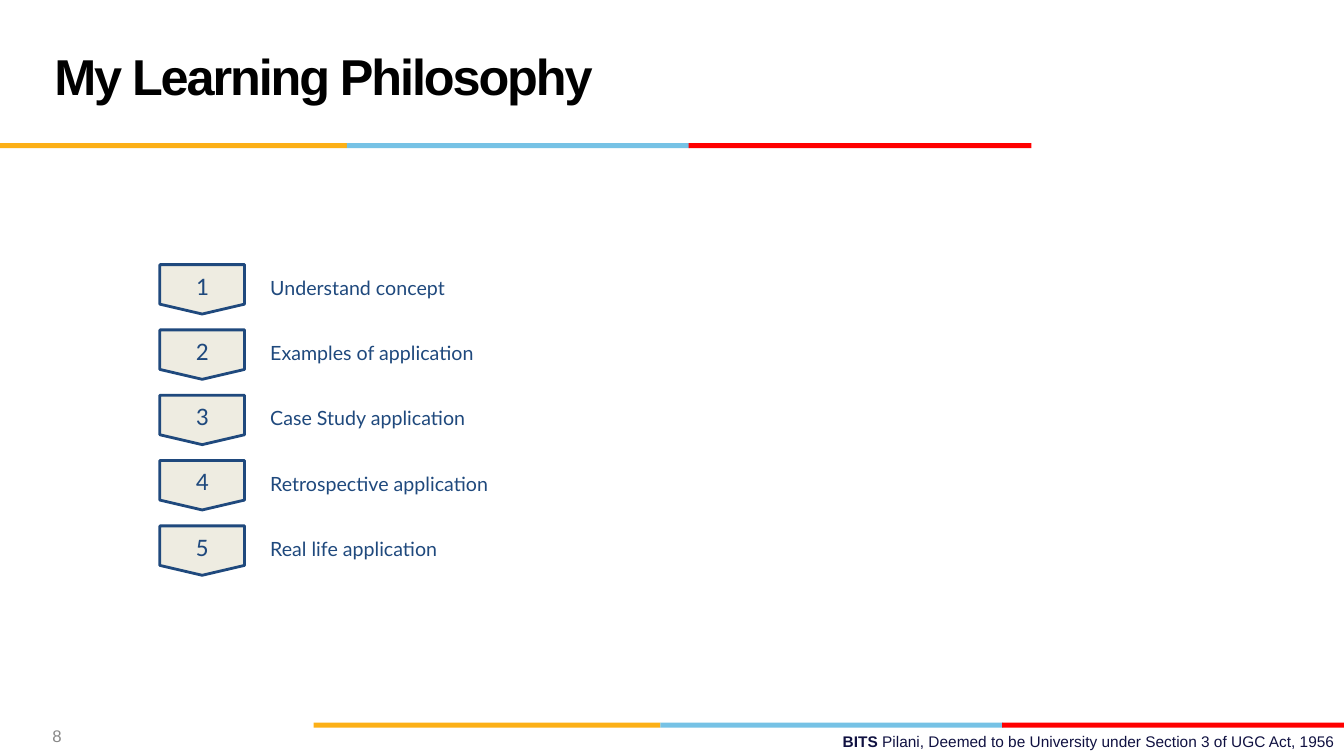
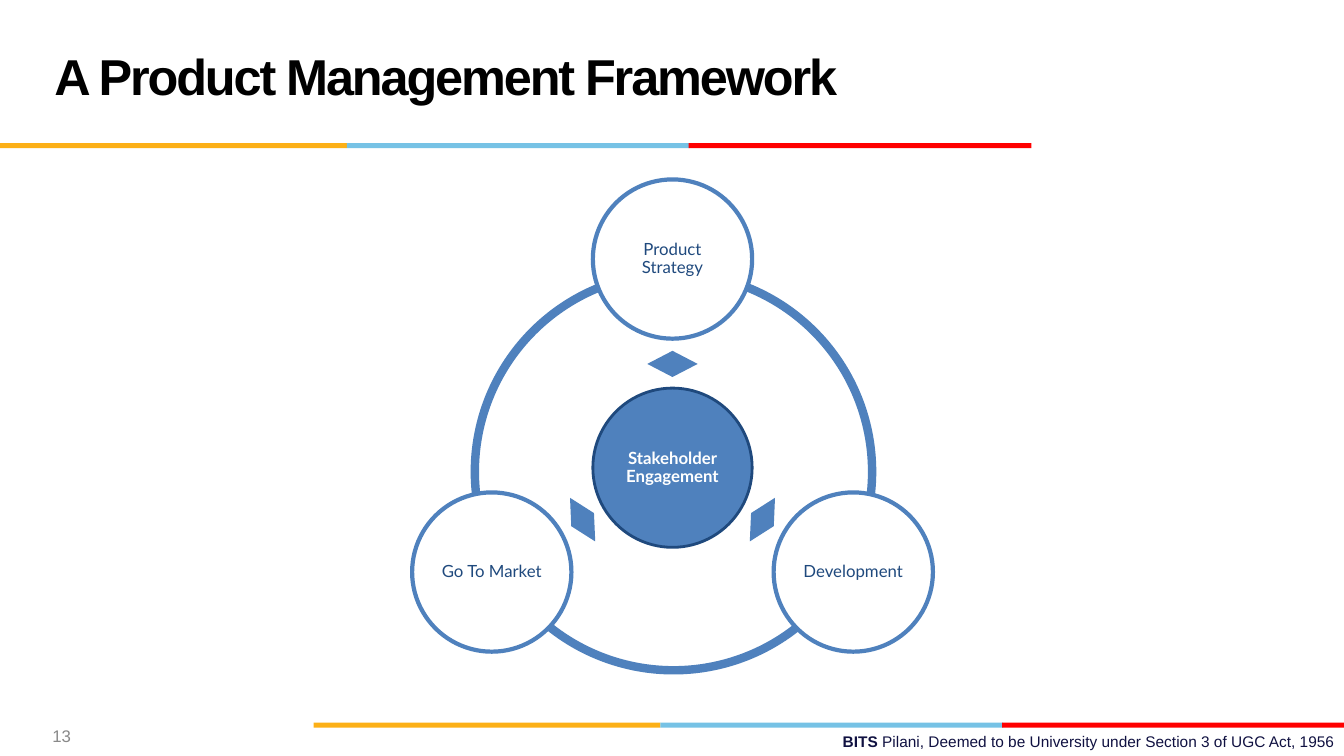
from math import cos, radians, sin

from pptx import Presentation
from pptx.dml.color import RGBColor
from pptx.enum.shapes import MSO_SHAPE
from pptx.enum.text import MSO_ANCHOR, PP_ALIGN
from pptx.util import Inches, Pt

COLORS = {
    "yellow": "FCB017", "sky": "76C2E5", "red": "FF0000",
    "black": "000000", "white": "FFFFFF", "gray": "898989",
    "ink": "101141", "navy": "1F497D", "blue": "4F81BD", "cream": "EEECE1",
}
BAND_PARTS = [("yellow", 0, 3.44), ("sky", 3.44, 3.4), ("red", 6.83, 3.4)]
SLIDES = [("My Learning Philosophy", 8), ("A Product Management Framework", 13)]


def add_shape(slide, kind, left, top, width, height, fill=None, line=None, line_width=2):
    shape = slide.shapes.add_shape(kind, Inches(left), Inches(top), Inches(width), Inches(height))
    shape.shadow.inherit = False
    if fill:
        shape.fill.solid()
        shape.fill.fore_color.rgb = RGBColor.from_string(COLORS[fill])
    else:
        shape.fill.background()
    if line:
        shape.line.color.rgb = RGBColor.from_string(COLORS[line])
        shape.line.width = Pt(line_width)
    else:
        shape.line.fill.background()
    return shape


def write(shape, text, font, size, color, align=PP_ALIGN.LEFT, bold=False, insets=(0.1, 0.05)):
    """Fill the shape with one middle-anchored paragraph; insets are (sides, top and bottom)."""
    frame = shape.text_frame
    frame.word_wrap = True
    frame.vertical_anchor = MSO_ANCHOR.MIDDLE
    frame.margin_left = frame.margin_right = Inches(insets[0])
    frame.margin_top = frame.margin_bottom = Inches(insets[1])
    paragraph = frame.paragraphs[0]
    paragraph.text = text
    paragraph.alignment = align
    paragraph.font.name = font
    paragraph.font.size = Pt(size)
    paragraph.font.bold = bold
    paragraph.font.color.rgb = RGBColor.from_string(COLORS[color])
    return paragraph


presentation = Presentation()
presentation.slide_width = Inches(13.33)
presentation.slide_height = Inches(7.5)

# Shared title, bands and footer
for title, number in SLIDES:
    slide = presentation.slides.add_slide(presentation.slide_layouts[6])
    for band_left, band_top in [(0, 1.42), (3.11, 7.17)]:
        for color, offset, width in BAND_PARTS:
            add_shape(slide, MSO_SHAPE.RECTANGLE, band_left + offset, band_top, width, 0.05, color)

    box = slide.shapes.add_textbox(Inches(0.44), Inches(0.17), Inches(9.22), Inches(1.25))
    paragraph = write(box, title, "Arial", 36, "black", bold=True)
    paragraph.line_spacing = Pt(36)
    paragraph.runs[0]._r.get_or_add_rPr().set("spc", "-150")

    box = slide.shapes.add_textbox(Inches(4.78), Inches(7.21), Inches(8.56), Inches(0.29))
    paragraph = write(box, "BITS ", "Arial", 11, "ink", PP_ALIGN.RIGHT)
    paragraph.runs[0].font.bold = True
    paragraph.add_run().text = "Pilani, Deemed to be University under Section 3 of UGC Act, 1956"

    box = slide.shapes.add_textbox(Inches(0.42), Inches(7.1), Inches(0.58), Inches(0.4))
    write(box, str(number), "Arial", 12, "gray")

philosophy, framework = presentation.slides

# Numbered steps
STEPS = ["Understand concept", "Examples of application", "Case Study application",
         "Retrospective application", "Real life application"]
for index, step in enumerate(STEPS):
    top = 2.62 + index * 0.648
    label = add_shape(philosophy, MSO_SHAPE.RECTANGLE, 2.49, top, 3.23, 0.49, "white")
    write(label, step, "Lato", 14, "navy", insets=(0.19, 0.06)).line_spacing = 0.9

    marker = add_shape(philosophy, MSO_SHAPE.PENTAGON, 1.76, top - 0.17, 0.49, 0.84, "cream", "navy")
    marker.adjustments[0] = 0.2
    marker.rotation = 90
    paragraph = write(marker, str(index + 1), "Calibri", 18, "navy", PP_ALIGN.CENTER,
                      insets=(0.02, 0.02))
    paragraph.line_spacing = 0.9
    marker.text_frame._txBody.bodyPr.set("vert", "vert270")

# Framework: a hub and three circles around it
CENTER_X, CENTER_Y, DIAMETER = 6.67, 4.64, 1.58
ORBIT, ARROW_ORBIT = 2.07, 1.03
ARROW_WIDTH, ARROW_HEIGHT = 0.26, 0.5
CIRCLES = [("Stakeholder Engagement", None), ("Product Strategy", 270),
           ("Development", 30), ("Go To Market", 150)]

add_shape(framework, MSO_SHAPE.OVAL, 4.71, 2.71, 3.94, 3.94, line="blue", line_width=6)
for name, angle in CIRCLES:
    is_hub = angle is None
    x, y = CENTER_X, CENTER_Y
    if not is_hub:
        across, down = cos(radians(angle)), sin(radians(angle))
        arrow = add_shape(framework, MSO_SHAPE.LEFT_RIGHT_ARROW,
                          x + ARROW_ORBIT * across - ARROW_WIDTH / 2,
                          y + ARROW_ORBIT * down - ARROW_HEIGHT / 2,
                          ARROW_WIDTH, ARROW_HEIGHT, "blue")
        arrow.rotation = angle
        x, y = x + ORBIT * across, y + ORBIT * down
    circle = add_shape(framework, MSO_SHAPE.OVAL, x - DIAMETER / 2, y - DIAMETER / 2,
                       DIAMETER, DIAMETER, "blue" if is_hub else "white",
                       "navy" if is_hub else "blue", 2 if is_hub else 3)
    paragraph = write(circle, name, "Lato", 12, "white" if is_hub else "navy",
                      PP_ALIGN.CENTER, is_hub, (0.02, 0.02))
    paragraph.line_spacing = 0.9

presentation.save("out.pptx")
